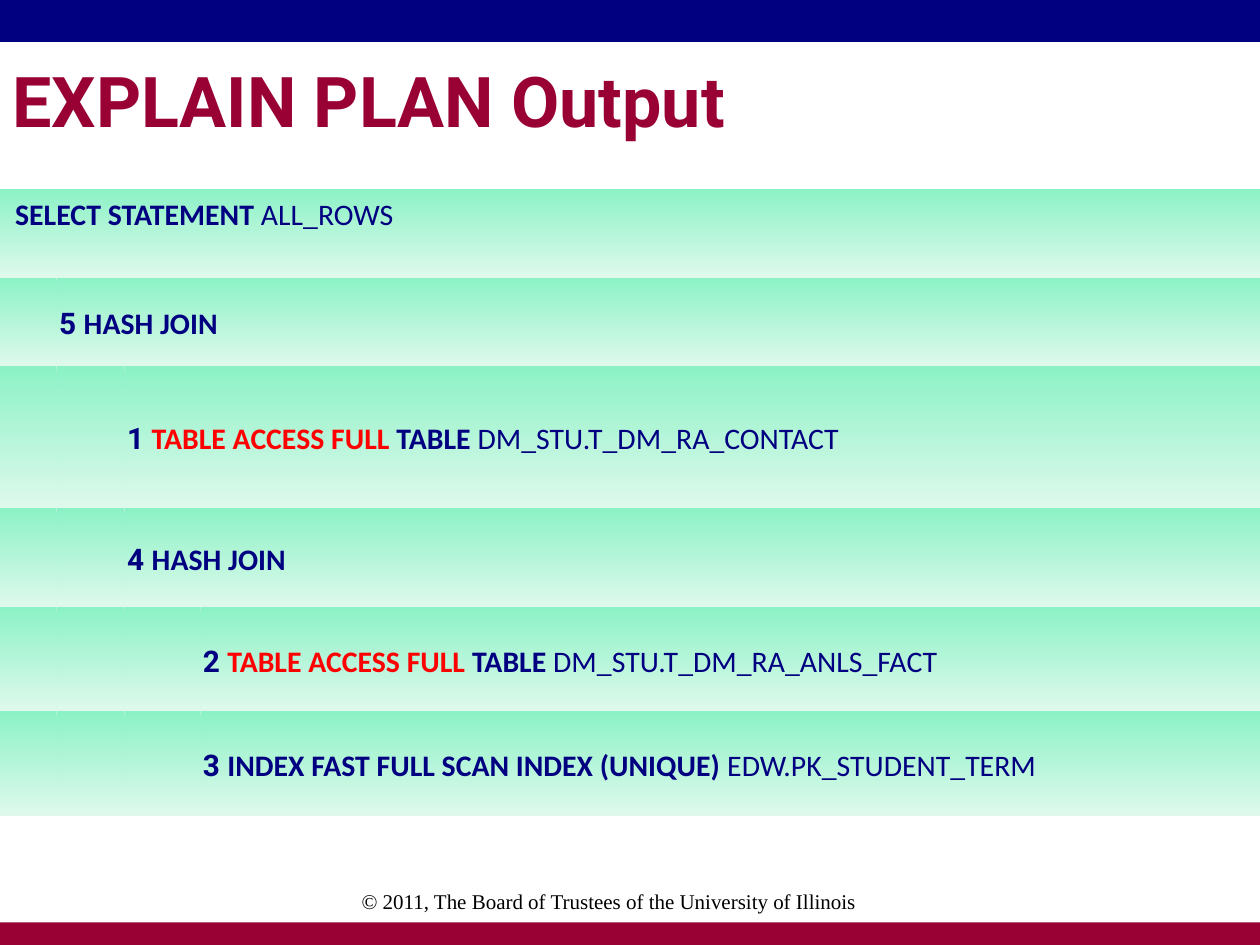
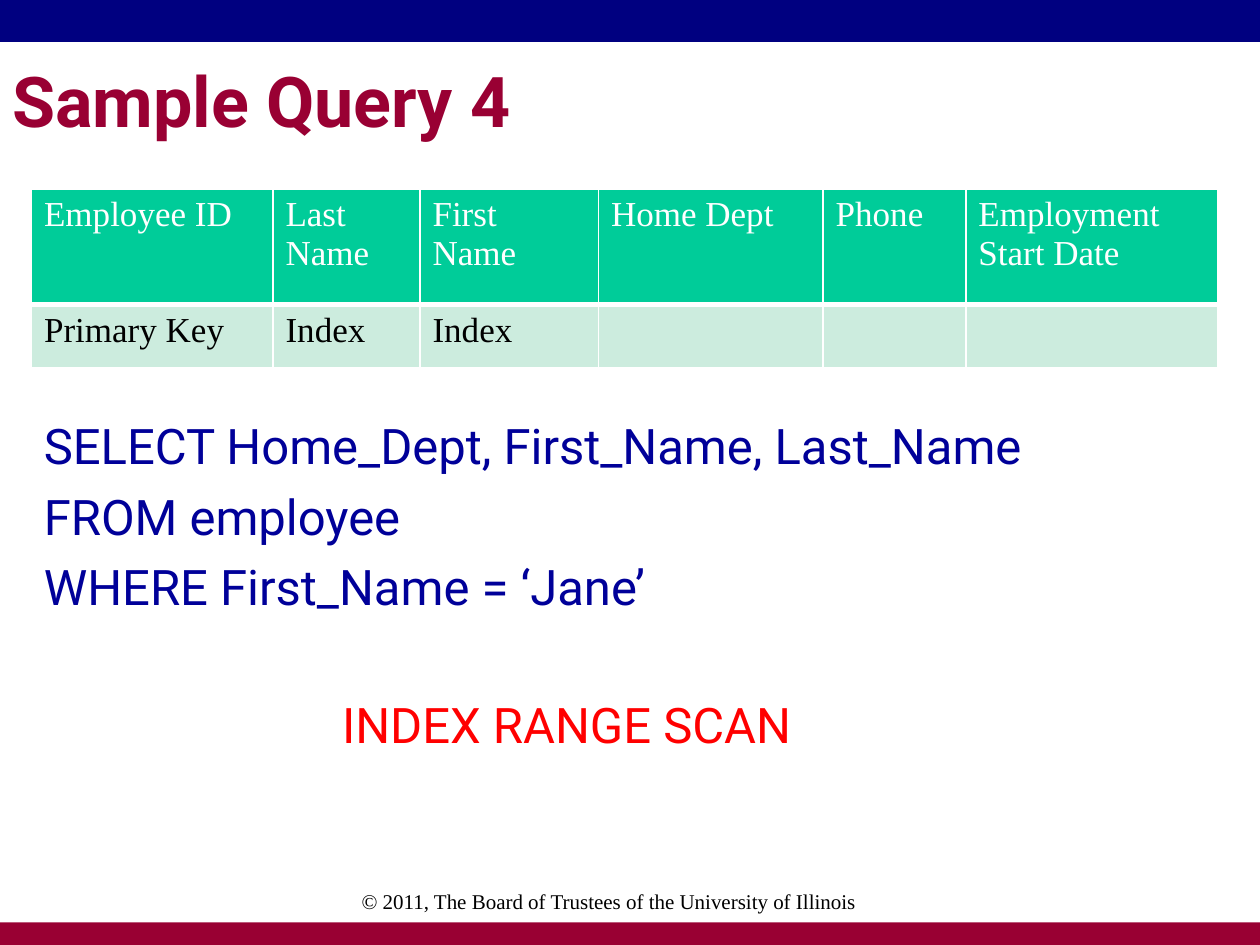
from typing import NamedTuple, Sequence

from lxml.etree import SubElement
from pptx import Presentation
from pptx.dml.color import RGBColor
from pptx.enum.shapes import MSO_SHAPE as Shape
from pptx.enum.text import MSO_ANCHOR as Anchor, PP_ALIGN as Align
from pptx.oxml.ns import qn
from pptx.util import Emu, Inches, Pt

# Shared palette and fonts
NAVY, MAROON, RED = "000080", "990033", "FF0000"
WHITE, BLACK, QUERY_BLUE = "FFFFFF", "000000", "000099"
MINT, PALE_MINT = "8CF2C6", "DEF9EC"
HEADER_GREEN, ROW_GREEN = "00CC99", "CCECDE"
SANS, PLAN_FONT, SERIF = "Roboto", "Calibri", "Times New Roman"
PLAIN_STYLE = "{2D5ABB26-0587-4C30-8999-92F81FD0307C}"

# The slide is a grid of 120 columns by 90 rows of square units
COLUMNS, ROWS = 120, 90
UNIT = Inches(10) // COLUMNS


class Box(NamedTuple):
    left: float
    top: float
    width: float
    height: float


class Style(NamedTuple):
    size: float
    font: str
    color: str
    bold: bool = False


class Run(NamedTuple):
    text: str
    style: Style


class Step(NamedTuple):
    depth: int
    height: float
    runs: Sequence[Run]


class Line(NamedTuple):
    run: Run
    space_before: float = 0
    indent: float = 0


TITLE_BOX = Box(0, 2, 102, 15)
FOOTER_BOX = Box(26, 84, 64, 6)
BANDS = ((Box(0, 0, COLUMNS, 4), NAVY), (Box(0, 87.84, COLUMNS, 2.16), MAROON))
TITLE = Style(40, SANS, MAROON, True)
FOOTER = Style(12, SERIF, BLACK)
FOOTER_TEXT = "© 2011, The Board of Trustees of the University of Illinois"

# Execution plan, one step per row
NUMBER = Style(17, SANS, NAVY, True)
OPERATION = Style(17, PLAN_FONT, NAVY, True)
FULL_SCAN = Style(17, PLAN_FONT, RED, True)
OBJECT = Style(17, PLAN_FONT, NAVY)
PLAN_COLUMNS = (5.4, 6.48, 7.2, 100.92)
PLAN = (
    Step(0, 8.44, (Run("SELECT STATEMENT ", OPERATION), Run("ALL_ROWS", OBJECT))),
    Step(1, 8.4, (Run("5 ", NUMBER), Run("HASH JOIN", OPERATION))),
    Step(2, 13.56, (Run("1 ", NUMBER), Run("TABLE ACCESS FULL ", FULL_SCAN),
                    Run("TABLE ", OPERATION), Run("DM_STU.T_DM_RA_CONTACT", OBJECT))),
    Step(2, 9.4, (Run("4 ", NUMBER), Run("HASH JOIN", OPERATION))),
    Step(3, 9.96, (Run("2 ", NUMBER), Run("TABLE ACCESS FULL ", FULL_SCAN),
                   Run("TABLE ", OPERATION), Run("DM_STU.T_DM_RA_ANLS_FACT", OBJECT))),
    Step(3, 9.92, (Run("3 ", NUMBER),
                   Run("INDEX FAST FULL SCAN INDEX (UNIQUE) ", OPERATION),
                   Run("EDW.PK_STUDENT_TERM", OBJECT))),
)

# Employee table and the query on it
EMPLOYEE_COLUMNS, EMPLOYEE_ROWS = (23, 14, 17, 21.4, 13.6, 24), (11, 6)
EMPLOYEE = (
    ("Employee ID", "Last Name", "First\nName", "Home Dept", "Phone",
     "Employment Start Date"),
    ("Primary Key", "Index", "Index", "", "", ""),
)
HEADER, KEY = Style(20, SERIF, WHITE), Style(20, SERIF, BLACK)
QUERY = Style(28, SANS, QUERY_BLUE)
ACCESS_METHOD = Style(28, SANS, RED)
QUERY_BOX = Box(3, 39, 102, 39)
QUERY_LINES = (
    Line(Run("SELECT Home_Dept, First_Name, Last_Name", QUERY)),
    Line(Run("FROM employee", QUERY), 6.6),
    Line(Run("WHERE First_Name = ‘Jane’", QUERY), 6.6),
    Line(Run("INDEX RANGE SCAN", ACCESS_METHOD), 45.5, 28.4),
)


def rgb(hex_color: str) -> RGBColor:
    return RGBColor.from_string(hex_color)


def units(count: float) -> Emu:
    return Emu(round(count * UNIT))


def place(box: Box) -> list[Emu]:
    return [units(length) for length in box]


def add_run(paragraph, run: Run) -> None:
    piece = paragraph.add_run()
    piece.text = run.text
    font = piece.font
    font.size, font.name, font.bold = Pt(run.style.size), run.style.font, run.style.bold
    font.color.rgb = rgb(run.style.color)


def add_lines(slide, box: Box, lines: Sequence[Line], anchor=Anchor.TOP,
              align=Align.LEFT) -> None:
    frame = slide.shapes.add_textbox(*place(box)).text_frame
    frame.word_wrap, frame.vertical_anchor = True, anchor
    for index, line in enumerate(lines):
        paragraph = frame.add_paragraph() if index else frame.paragraphs[0]
        paragraph.alignment = align
        if line.space_before:
            paragraph.space_before = Pt(line.space_before)
        if line.indent:
            paragraph._p.get_or_add_pPr().set("marL", str(units(line.indent)))
        add_run(paragraph, line.run)


def add_titled_slide(deck, title: str):
    slide = deck.slides.add_slide(deck.slide_layouts[6])
    for box, color in BANDS:
        band = slide.shapes.add_shape(Shape.RECTANGLE, *place(box))
        band.shadow.inherit = False
        band.fill.solid()
        band.fill.fore_color.rgb = rgb(color)
        band.line.fill.background()
    add_lines(slide, TITLE_BOX, [Line(Run(title, TITLE))], Anchor.MIDDLE)
    add_lines(slide, FOOTER_BOX, [Line(Run(FOOTER_TEXT, FOOTER))], align=Align.CENTER)
    return slide


def add_plain_table(slide, left: float, top: float, widths: Sequence[float],
                    heights: Sequence[float]):
    box = Box(left, top, sum(widths), sum(heights))
    table = slide.shapes.add_table(len(heights), len(widths), *place(box)).table
    table._tbl.tblPr.find(qn("a:tableStyleId")).text = PLAIN_STYLE
    table.horz_banding = False
    for column, width in zip(table.columns, widths):
        column.width = units(width)
    for row, height in zip(table.rows, heights):
        row.height = units(height)
    return table


def set_border(cell, side: str, points: float) -> None:
    edge = SubElement(cell._tc.get_or_add_tcPr(), qn(f"a:ln{side}"), w=str(Pt(points)))
    fill = SubElement(edge, qn("a:solidFill"))
    SubElement(fill, qn("a:srgbClr"), val=WHITE)


def fill_gradient(cell) -> None:
    cell.fill.gradient()
    cell.fill.gradient_angle = 270
    for stop, color in zip(cell.fill.gradient_stops, (MINT, PALE_MINT)):
        stop.color.rgb = rgb(color)


def build_plan_slide(deck) -> None:
    slide = add_titled_slide(deck, "EXPLAIN PLAN Output")
    table = add_plain_table(slide, 0, 18, PLAN_COLUMNS, [step.height for step in PLAN])
    last = len(PLAN_COLUMNS) - 1
    for row, step in enumerate(PLAN):
        for column in range(last + 1):
            fill_gradient(table.cell(row, column))
        cell = table.cell(row, step.depth)
        if step.depth < last:
            cell.merge(table.cell(row, last))
        cell.margin_left = cell.margin_right = Inches(0.02)
        cell.margin_top = cell.margin_bottom = Inches(0.02)
        cell.vertical_anchor = Anchor.MIDDLE
        if step.depth == 0:
            cell.margin_left, cell.vertical_anchor = Inches(0.12), Anchor.TOP
        paragraph = cell.text_frame.paragraphs[0]
        paragraph.line_spacing = 1.15
        for run in step.runs:
            add_run(paragraph, run)


def build_query_slide(deck) -> None:
    slide = add_titled_slide(deck, "Sample Query 4")
    add_lines(slide, QUERY_BOX, QUERY_LINES)
    table = add_plain_table(slide, 3, 18, EMPLOYEE_COLUMNS, EMPLOYEE_ROWS)
    looks = ((HEADER, HEADER_GREEN, 1, 3), (KEY, ROW_GREEN, 3, 1))
    for row, (labels, look) in enumerate(zip(EMPLOYEE, looks)):
        style, color, top_line, bottom_line = look
        for column, label in enumerate(labels):
            cell = table.cell(row, column)
            for side, points in zip("LRTB", (1, 1, top_line, bottom_line)):
                set_border(cell, side, points)
            cell.fill.solid()
            cell.fill.fore_color.rgb = rgb(color)
            frame = cell.text_frame
            for index, text in enumerate(label.split("\n") if label else ()):
                paragraph = frame.add_paragraph() if index else frame.paragraphs[0]
                add_run(paragraph, Run(text, style))


def main() -> None:
    deck = Presentation()
    deck.slide_width, deck.slide_height = units(COLUMNS), units(ROWS)
    build_plan_slide(deck)
    build_query_slide(deck)
    deck.save("out.pptx")


if __name__ == "__main__":
    main()
